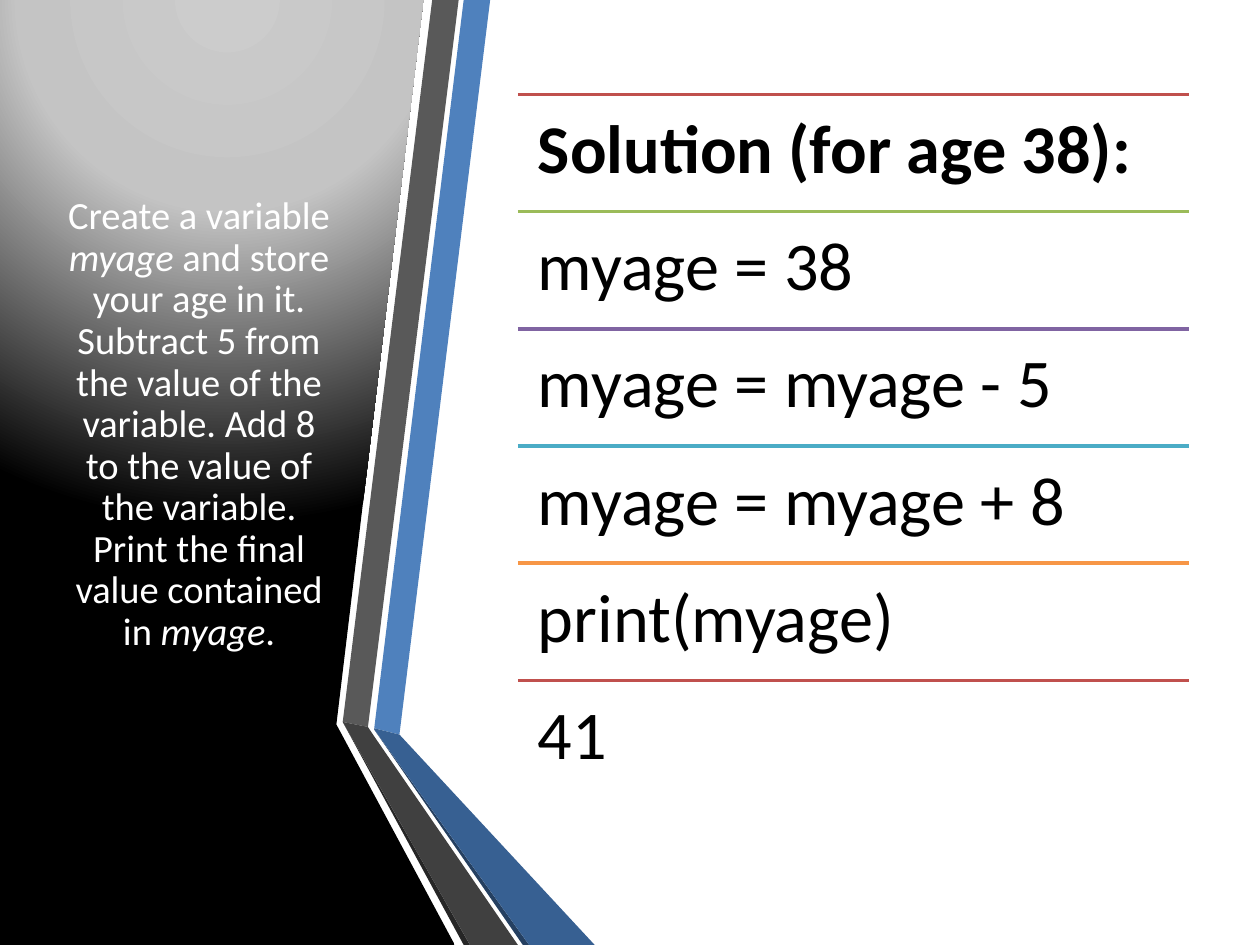
from dataclasses import dataclass

from lxml import etree
from pptx import Presentation
from pptx import util as u
from pptx.dml.color import RGBColor
from pptx.enum import shapes, text
from pptx.oxml import parse_xml
from pptx.oxml.ns import nsdecls, qn


@dataclass(frozen=True)
class Theme:
    """Colours, font and type sizes of the slide."""

    font: str = "Calibri"
    task_size: int = 22
    code_size: int = 39
    rule_width: int = 2
    light: str = "FFFFFF"
    ink: str = "000000"
    glow: tuple = ((0, "CCCCCC"), (40, "C4C4C4"), (100, "000000"))
    accents: tuple = ("C0504D", "9BBB59", "8064A2", "4BACC6", "F79646")
    blue: str = "4F81BD"
    blue_fold: str = "376092"
    blue_edge: str = "254061"
    grey: str = "595959"
    grey_fold: str = "404040"
    grey_edge: str = "262626"


class SlideBuilder:
    """Draws styled elements on the current slide."""

    def __init__(self, slide, theme):
        """Keep the slide and its theme."""
        self.slide = slide
        self.theme = theme

    def outline(self, points, color=None):
        """Draw a closed polygon without a line."""
        corners = [(u.Inches(x), u.Inches(y)) for x, y in points]
        builder = self.slide.shapes.build_freeform(*corners[0])
        builder.add_line_segments(corners[1:], close=True)
        polygon = builder.convert_to_shape()
        polygon.shadow.inherit = False
        polygon.line.fill.background()
        if color:
            polygon.fill.solid()
            polygon.fill.fore_color.rgb = RGBColor.from_string(color)
        return polygon

    def glowing_panel(self, points):
        """Draw a polygon with a radial gradient centred above it."""
        panel = self.outline(points)
        stops = "".join(
            f'<a:gs pos="{pos * 1000}"><a:srgbClr val="{color}"/></a:gs>'
            for pos, color in self.theme.glow
        )
        gradient = parse_xml(
            f'<a:gradFill {nsdecls("a")} rotWithShape="1"><a:gsLst>{stops}</a:gsLst>'
            '<a:path path="circle"><a:fillToRect l="50000" t="-80000" r="50000" b="180000"/>'
            "</a:path></a:gradFill>"
        )
        panel._element.spPr.find(qn("a:custGeom")).addnext(gradient)

    def add_runs(self, paragraph, runs, size, color):
        """Add (wording, bold, italic) runs to a paragraph."""
        paragraph.line_spacing = 0.9
        for wording, bold, italic in runs:
            run = paragraph.add_run()
            run.text = wording
            font = run.font
            font.name, font.size = self.theme.font, u.Pt(size)
            font.bold, font.italic = bold, italic
            font.color.rgb = RGBColor.from_string(color)

    def title(self, left, top, width, height, runs):
        """Place the title in front, set slightly above the middle."""
        task = self.slide.shapes.title
        task.left, task.top = u.Inches(left), u.Inches(top)
        task.width, task.height = u.Inches(width), u.Inches(height)
        self.slide.shapes._spTree.append(task._element)
        frame = task.text_frame
        frame.auto_size = text.MSO_AUTO_SIZE.NONE
        frame.word_wrap = True
        frame.vertical_anchor = text.MSO_ANCHOR.MIDDLE
        frame.margin_bottom = u.Inches(0.38)
        paragraph = frame.paragraphs[0]
        paragraph.alignment = text.PP_ALIGN.CENTER
        self.add_runs(paragraph, runs, self.theme.task_size, self.theme.light)

    def rule(self, left, top, width, color):
        """Draw a horizontal line."""
        start, end, y = u.Inches(left), u.Inches(left + width), u.Inches(top)
        line = self.slide.shapes.add_connector(shapes.MSO_CONNECTOR.STRAIGHT, start, y, end, y)
        line.line.color.rgb = RGBColor.from_string(color)
        line.line.width = u.Pt(self.theme.rule_width)
        etree.SubElement(line._element.spPr, qn("a:effectLst"))

    def code_line(self, left, top, width, height, wording, bold):
        """Set one line of the solution."""
        box = self.slide.shapes.add_textbox(*map(u.Inches, (left, top, width, height)))
        frame = box.text_frame
        frame.word_wrap = True
        frame.margin_left = frame.margin_right = u.Inches(0.16)
        frame.margin_top = frame.margin_bottom = u.Inches(0.16)
        runs = [(wording, bold, False)]
        self.add_runs(frame.paragraphs[0], runs, self.theme.code_size, self.theme.ink)


def main():
    """Build and save the slide."""
    deck = Presentation()
    deck.slide_width, deck.slide_height = u.Inches(10), u.Inches(7.5)
    theme = Theme()
    page = SlideBuilder(deck.slides.add_slide(deck.slide_layouts[5]), theme)

    page.glowing_panel([(0, 0), (3.36, 0), (2.67, 5.75), (3.61, 7.5), (0, 7.5)])
    ribbons = [
        (theme.blue, [(2.97, 5.78), (3.17, 5.83), (3.89, 0), (3.68, 0)]),
        (theme.grey, [(3.64, 0), (3.43, 0), (2.72, 5.73), (2.92, 5.77)]),
        (theme.grey_edge, [(2.72, 5.73), (3.68, 7.5), (3.73, 7.5)]),
        (theme.blue_edge, [(2.97, 5.79), (4.15, 7.5), (4.2, 7.5)]),
        (theme.blue_fold, [(2.97, 5.79), (4.2, 7.5), (4.72, 7.5), (3.17, 5.83), (2.97, 5.78)]),
        (theme.grey_fold, [(4.11, 7.5), (2.96, 5.83), (2.92, 5.77), (2.72, 5.73), (3.73, 7.5)]),
    ]
    for color, points in ribbons:
        page.outline(points, color)

    page.title(0.44, 0.75, 2.28, 5.58, [
        ("Create a variable ", False, False),
        ("myage", False, True),
        (" and store your age in it. Subtract 5 from the value of the variable. "
         "Add 8 to the value of the variable. Print the final value contained in ", False, False),
        ("myage", False, True),
        (".", False, False),
    ])

    solution = ["Solution (for age 38):", "myage = 38", "myage = myage - 5",
                "myage = myage + 8", "print(myage)", "41"]
    left, first_top, width, step = 4.11, 0.75, 5.33, 0.93
    for row, wording in enumerate(solution):
        top = first_top + row * step
        page.rule(left, top, width, theme.accents[row % len(theme.accents)])
        page.code_line(left, top, width, step, wording, bold=row == 0)

    deck.save("out.pptx")


if __name__ == "__main__":
    main()
